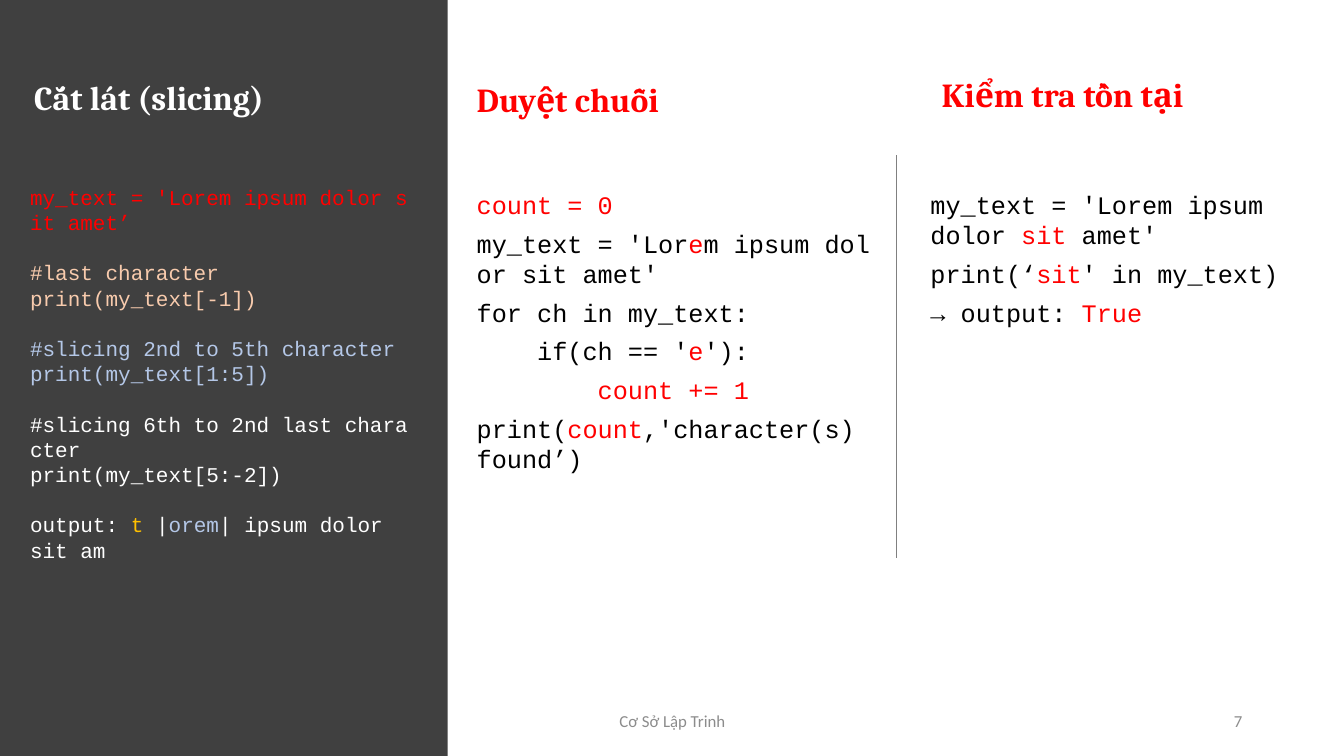
from dataclasses import dataclass

from lxml.etree import SubElement
from pptx import Presentation
from pptx.dml.color import RGBColor as Rgb
from pptx.enum.shapes import MSO_CONNECTOR as Connector, MSO_SHAPE as Preset
from pptx.enum.text import MSO_ANCHOR as Anchor, MSO_AUTO_SIZE as AutoSize, PP_ALIGN as Align
from pptx.oxml.ns import qn
from pptx.util import Emu, Pt

PX = 9144
NBSP = chr(160)


@dataclass(frozen=True)
class Theme:
    panel: str = "404040"
    rule: str = "808080"
    muted: str = "8C8C8C"
    white: str = "FFFFFF"
    black: str = "000000"
    red: str = "FF0000"
    peach: str = "F8CBAD"
    sky: str = "B4C7E7"
    gold: str = "FFC000"
    heading = {"name": "Cambria", "size": Pt(24), "bold": True}
    code = {"name": "Courier New", "size": Pt(18)}
    small_code = {"name": "Courier New", "size": Pt(15)}
    footer = {"name": "Calibri", "size": Pt(12)}


def px(*lengths):
    return [Emu(length * PX) for length in lengths]


def hard(text):
    return text.replace(" ", NBSP)


class SlideBuilder:
    """Draws styled elements on one slide, with lengths in px."""

    def __init__(self, slide, theme):
        self.slide = slide
        self.theme = theme

    def panel(self, box, color):
        panel = self.slide.shapes.add_shape(Preset.RECTANGLE, *px(*box))
        panel.shadow.inherit = False
        panel.fill.solid()
        panel.fill.fore_color.rgb = Rgb.from_string(color)
        panel.line.fill.background()

    def divider(self, x, top, bottom):
        divider = self.slide.shapes.add_connector(Connector.STRAIGHT, *px(x, top, x, bottom))
        divider.line.color.rgb = Rgb.from_string(self.theme.rule)
        divider.line.width = Pt(1)
        SubElement(divider._element.spPr, qn("a:effectLst"))

    def text(self, box, paragraphs, font, spacing, frame_format):
        frame = self.slide.shapes.add_textbox(*px(*box)).text_frame
        for key, value in {"word_wrap": True, **frame_format}.items():
            setattr(frame, key, value)
        for index, runs in enumerate(paragraphs):
            paragraph = frame.paragraphs[0] if index == 0 else frame.add_paragraph()
            for key, value in spacing.items():
                if index or key != "space_before":
                    setattr(paragraph, key, value)
            for words, color in runs:
                self.run(paragraph, words, color, font)

    def run(self, paragraph, words, color, font):
        for index, line in enumerate(words.split("\n")):
            if index:
                paragraph.add_line_break()
            run = paragraph.add_run()
            run.text = line
            for key, value in font.items():
                setattr(run.font, key, value)
            run.font.color.rgb = Rgb.from_string(color)

    def heading(self, box, words, color, **spacing):
        grow = {"auto_size": AutoSize.SHAPE_TO_FIT_TEXT}
        self.text(box, [[(words, color)]], self.theme.heading, spacing, grow)

    def code(self, box, paragraphs, font, **spacing):
        self.text(box, paragraphs, font, spacing, {})

    def footer(self, box, words, align):
        self.text(box, [[(words, self.theme.muted)]], self.theme.footer,
                  {"alignment": align}, {"vertical_anchor": Anchor.MIDDLE})


def main():
    deck = Presentation()
    deck.slide_width, deck.slide_height = px(1333, 750)
    theme = Theme()
    page = SlideBuilder(deck.slides.add_slide(deck.slide_layouts[6]), theme)
    white, black, red, sky = theme.white, theme.black, theme.red, theme.sky

    slicing = [
        [(hard("my_text = 'Lorem ipsum dolor sit amet’"), red)],
        [(hard("#last character\nprint(my_text[-1])"), theme.peach)],
        [(hard("#slicing 2nd to 5th character\nprint(my_text[1:5])"), sky)],
        [(hard("#slicing 6th to 2nd last character\nprint(my_text[5:-2])"), white)],
        [("output: ", white), ("t", theme.gold), (" |", white), ("orem", sky),
         ("| ipsum dolor sit am", white)],
    ]
    traversal = [
        [(hard("count = 0"), red)],
        [(hard("my_text = 'Lor"), black), ("e", red),
         (hard("m ipsum dolor sit amet'"), black)],
        [(hard("for ch in my_text:"), black)],
        [(hard("    if(ch == '"), black), ("e", red), ("'):", black)],
        [(hard("        count += 1"), red)],
        [("print(", black), ("count", red), (hard(",'character(s) found’)"), black)],
    ]
    membership = [
        [(hard("my_text = 'Lorem ipsum dolor "), black), ("sit", red),
         (hard(" amet'"), black)],
        [("print(‘", black), ("sit", red), (hard("' in my_text)"), black)],
        [("→ output: ", black), ("True", red)],
    ]

    page.panel((0, 0, 444, 750), theme.panel)
    page.code((20, 178, 404, 572), slicing, theme.small_code, space_before=Pt(18))
    page.code((463, 183, 416, 477), traversal, theme.code, space_after=Pt(6))
    page.divider(889, 154, 554)
    page.code((913, 183, 366, 477), membership, theme.code, space_after=Pt(6))
    page.heading((463, 73, 236, 50), "Duyệt chuỗi", red, space_after=Pt(6))
    page.heading((924, 73, 385, 46), "Kiểm tra tồn tại", red,
                 line_spacing=0.9, space_after=Pt(6))
    page.heading((24, 71, 279, 50), "Cắt lát (slicing)", white)
    page.footer((942, 695, 300, 40), "7", Align.RIGHT)
    page.footer((442, 695, 450, 40), "Cơ Sở Lập Trinh", Align.CENTER)
    deck.save("out.pptx")


if __name__ == "__main__":
    main()
